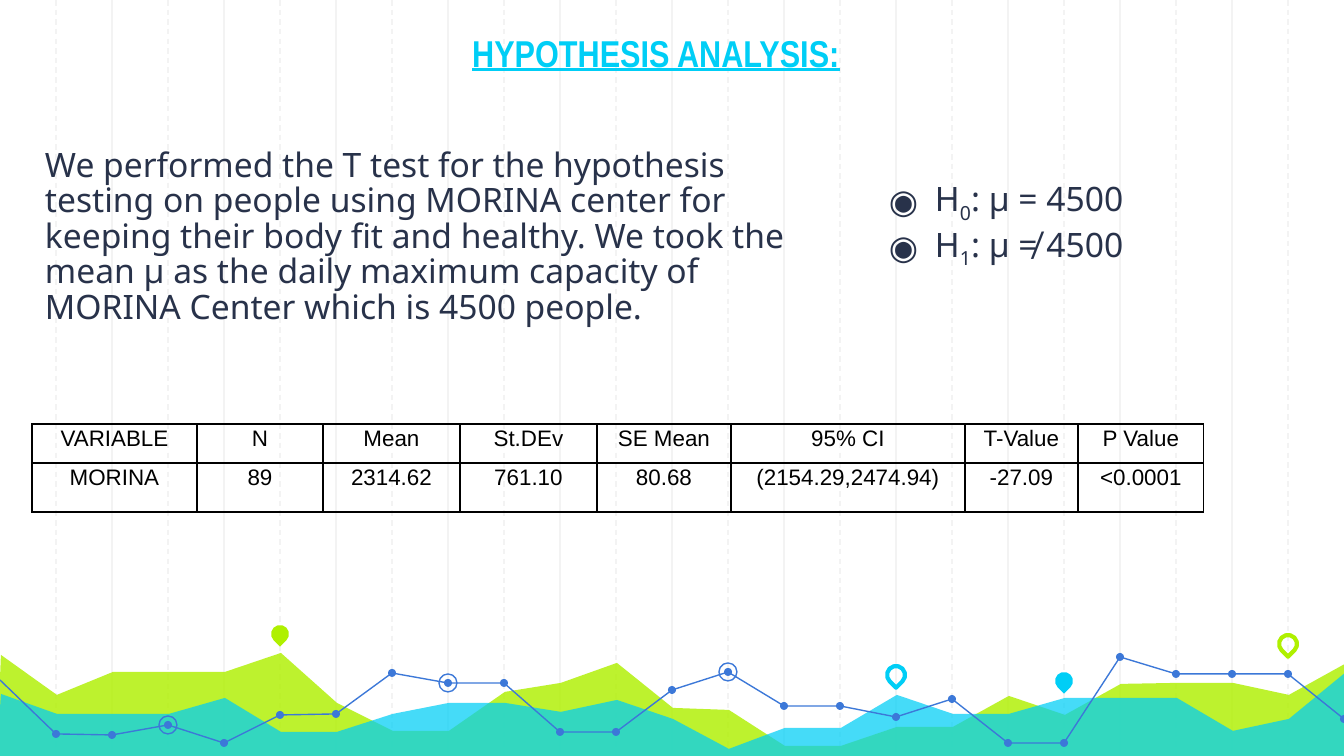
"""Build the hypothesis analysis slide with its test table and skyline decoration."""
from dataclasses import dataclass

from lxml import etree
from pptx import Presentation
from pptx.dml.color import RGBColor
from pptx.enum.dml import MSO_LINE
from pptx.enum.shapes import MSO_CONNECTOR, MSO_SHAPE
from pptx.enum.text import MSO_ANCHOR, PP_ALIGN
from pptx.oxml.ns import qn
from pptx.util import Emu, Pt

DASH, STRAIGHT = MSO_LINE.DASH, MSO_CONNECTOR.STRAIGHT
OVAL, TEARDROP = MSO_SHAPE.OVAL, MSO_SHAPE.TEAR
CENTER, LEFT = PP_ALIGN.CENTER, PP_ALIGN.LEFT
TOP, BOTTOM = MSO_ANCHOR.TOP, MSO_ANCHOR.BOTTOM
SCALE = 914400 / 134.4
STEP = 56


@dataclass(frozen=True)
class Theme:
    lime: str = "AFF000"
    cyan: str = "00CEF6"
    blue: str = "3C78D8"
    grid: str = "F3F3F3"
    ink: str = "28324A"
    black: str = "000000"
    title_size: int = 20
    body_size: int = 18
    table_size: int = 12
    title_font: str = "Arial Narrow"
    body_font: str = "Noto Sans"
    table_font: str = "Arial"


def paint(shape, fill=None, line=None, width=0.75, alpha=None):
    shape.shadow.inherit = False
    if fill:
        shape.fill.solid()
        shape.fill.fore_color.rgb = RGBColor.from_string(fill)
    else:
        shape.fill.background()
    if alpha:
        tint = shape.fill._xPr.find(".//" + qn("a:srgbClr"))
        etree.SubElement(tint, qn("a:alpha"), val=str(alpha * 1000))
    if line:
        shape.line.color.rgb = RGBColor.from_string(line)
        shape.line.width = Pt(width)
    else:
        shape.line.fill.background()


def write(paragraph, text, font, size, color, **extras):
    run = paragraph.add_run()
    run.text = text
    run.font.color.rgb = RGBColor.from_string(color)
    for key, value in {"name": font, "size": Pt(size), **extras}.items():
        setattr(run.font, key, value)
    return run


theme = Theme()
px = [Emu(round(n * SCALE)) for n in range(1400)]
deck = Presentation()
deck.slide_width, deck.slide_height = px[1344], px[756]
slide = deck.slides.add_slide(deck.slide_layouts[5])
shapes = slide.shapes

for column in range(1, 24):
    grid_line = shapes.add_connector(STRAIGHT, px[STEP * column], 0, px[STEP * column], px[756])
    grid_line.line.color.rgb = RGBColor.from_string(theme.grid)
    grid_line.line.width = Pt(0.75)
    if column % 2:
        grid_line.line.dash_style = DASH
    etree.SubElement(grid_line._element.spPr, qn("a:effectLst"))

lime_heights = [655, 695, 672, 672, 672, 653, 703, 731, 731, 692, 683, 663, 708,
                710, 746, 746, 727, 727, 696, 715, 684, 683, 683, 695, 664]
cyan_heights = [694, 714, 714, 714, 698, 732, 732, 714, 703, 703, 712, 700, 719,
                749, 728, 728, 695, 714, 714, 698, 698, 698, 731, 719, 673]
for heights, color, alpha in ((lime_heights, theme.lime, 82), (cyan_heights, theme.cyan, 73)):
    ridge = [(STEP * i + 1, y) for i, y in enumerate(heights)]
    outline = shapes.build_freeform(-3, 758, scale=SCALE)
    outline.add_line_segments(ridge + [(1346, 758)], close=True)
    paint(outline.convert_to_shape(), fill=color, alpha=alpha)

trend_heights = [680, 734, 735, 725, 743, 715, 714, 673, 683, 683, 732, 732, 690,
                 672, 706, 706, 717, 699, 743, 743, 657, 674, 674, 674, 719]
trend = [(STEP * i, y) for i, y in enumerate(trend_heights)]
for first, last in ((0, 11), (11, 20), (20, 24)):
    stretch = shapes.build_freeform(*trend[first], scale=SCALE)
    stretch.add_line_segments(trend[first + 1:last + 1], close=False)
    paint(stretch.convert_to_shape(), line=theme.blue)

for x, y in trend[1:]:
    paint(shapes.add_shape(OVAL, px[x - 4], px[y - 4], px[8], px[8]), fill=theme.blue)
for x, y in (trend[3], trend[8], trend[13]):
    paint(shapes.add_shape(OVAL, px[x - 9], px[y - 9], px[18], px[18]), line=theme.blue)

pins = [(5, 634, {"fill": theme.lime}),
        (16, 675, {"line": theme.cyan, "width": 2.25}),
        (19, 681, {"fill": theme.cyan}),
        (23, 644, {"line": theme.lime, "width": 2.25})]
for column, y, look in pins:
    pin = shapes.add_shape(TEARDROP, px[STEP * column - 9], px[y - 9], px[18], px[18])
    pin.rotation = 135
    paint(pin, **look)

title = shapes.title
shapes._spTree.append(title._element)
hypotheses = shapes.add_textbox(px[861], px[165], px[309], px[130])
summary = shapes.add_textbox(px[32], px[136], px[808], px[240])
title_place = {"left": px[142], "top": px[26], "width": px[1028], "height": px[105]}
for key, value in title_place.items():
    setattr(title, key, value)
for block, anchor, bottom in ((title, BOTTOM, 56), (hypotheses, TOP, 13), (summary, TOP, 13)):
    frame_format = {"word_wrap": True, "vertical_anchor": anchor, "margin_left": px[13],
                    "margin_right": px[13], "margin_top": px[13], "margin_bottom": px[bottom]}
    for key, value in frame_format.items():
        setattr(block.text_frame, key, value)

heading = title.text_frame.paragraphs[0]
heading.alignment = CENTER
write(heading, "HYPOTHESIS ANALYSIS:", theme.title_font, theme.title_size, theme.cyan,
      bold=True, underline=True)

body_style = (theme.body_font, theme.body_size, theme.ink)
explanation = summary.text_frame.paragraphs[0]
explanation.alignment = LEFT
explanation.line_spacing = 0.88
write(explanation, "We performed the T test for the hypothesis testing on people using MORINA "
      "center for keeping their body fit and healthy. We took the mean µ as the daily maximum "
      "capacity of MORINA Center which is 4500 people.", *body_style)

for index, claim in enumerate((": µ = 4500", ": µ ≠ 4500")):
    frame = hypotheses.text_frame
    hypothesis = frame.add_paragraph() if index else frame.paragraphs[0]
    hypothesis.alignment = LEFT
    properties = hypothesis._p.get_or_add_pPr()
    properties.set("marL", str(px[61]))
    properties.set("indent", str(-px[46]))
    bullet_color = etree.SubElement(properties, qn("a:buClr"))
    etree.SubElement(bullet_color, qn("a:srgbClr"), val=theme.ink)
    etree.SubElement(properties, qn("a:buFont"), typeface=theme.body_font)
    etree.SubElement(properties, qn("a:buChar"), char="◉")
    write(hypothesis, "H", *body_style)
    subscript = write(hypothesis, str(index), *body_style)
    subscript.font._element.set("baseline", "-25000")
    write(hypothesis, claim, *body_style)

results = [["VARIABLE", "N", "Mean", "St.DEv", "SE Mean", "95% CI", "T-Value", "P Value"],
           ["MORINA", "89", "2314.62", "761.10", "80.68", "(2154.29,2474.94)", "-27.09", "<0.0001"]]
column_widths = [165, 126, 137, 137, 134, 234, 113, 126]
row_heights = [39, 49]
table = shapes.add_table(2, 8, px[32], px[424], px[sum(column_widths)], px[sum(row_heights)]).table
table.first_row = table.horz_banding = False
for column, width in zip(table.columns, column_widths):
    column.width = px[width]
for row, height, values in zip(table.rows, row_heights, results):
    row.height = px[height]
    for cell, value in zip(row.cells, values):
        cell_format = {"margin_left": px[9], "margin_right": px[9], "margin_top": 0,
                       "margin_bottom": 0, "vertical_anchor": TOP}
        for key, setting in cell_format.items():
            setattr(cell, key, setting)
        entry = cell.text_frame.paragraphs[0]
        entry.alignment = CENTER
        entry.line_spacing = 1.07
        write(entry, value, theme.table_font, theme.table_size, theme.black)
        borders = cell._tc.get_or_add_tcPr()
        for side in ("a:lnL", "a:lnR", "a:lnT", "a:lnB"):
            border = etree.SubElement(borders, qn(side), w=str(Pt(0.75)))
            border_fill = etree.SubElement(border, qn("a:solidFill"))
            etree.SubElement(border_fill, qn("a:srgbClr"), val=theme.black)
        cell.fill.background()

deck.save("out.pptx")
